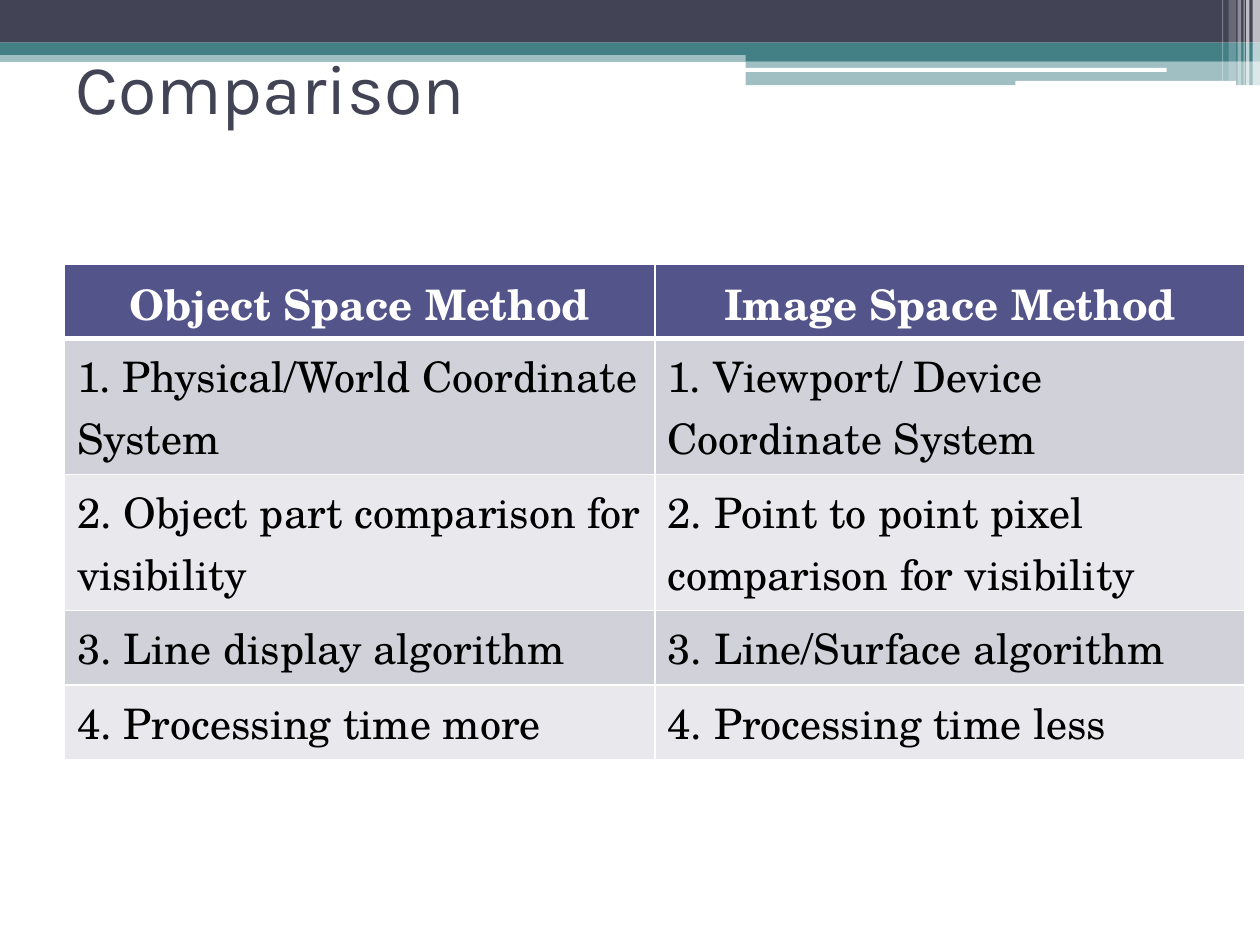
from lxml.etree import SubElement
from pptx import Presentation
from pptx.dml.color import RGBColor
from pptx.enum.shapes import MSO_SHAPE as Preset
from pptx.enum.text import MSO_ANCHOR as Anchor, PP_ALIGN as Align
from pptx.oxml import parse_xml
from pptx.oxml.ns import nsdecls, qn
from pptx.util import Cm, Pt

COLORS = {
    "navy": "424456", "teal": "438086", "white": "FFFFFF", "black": "000000",
    "header": "53548A", "band_dark": "D1D1DA", "band_light": "E9E9ED",
}


def rgb(name):
    return RGBColor.from_string(COLORS[name])


def add_bar(left, top, width, height, color, opacity=100, preset=Preset.RECTANGLE):
    bar = slide.shapes.add_shape(preset, Cm(left), Cm(top), Cm(width), Cm(height))
    bar.shadow.inherit = False
    bar.line.fill.background()
    bar.fill.solid()
    bar.fill.fore_color.rgb = rgb(color)
    if opacity < 100:
        srgb = next(bar.fill._xPr.iter(qn("a:srgbClr")))
        SubElement(srgb, qn("a:alpha")).set("val", str(opacity * 1000))


deck = Presentation()
deck.slide_width, deck.slide_height = Cm(25.4), Cm(19.05)
slide = deck.slides.add_slide(deck.slide_layouts[6])

# Banner across the top
add_bar(0, 1.02, 25.4, 0.23, "teal", 50)
add_bar(0, 0, 25.4, 0.86, "navy")
add_bar(0, 0.86, 25.4, 0.25, "teal")
add_bar(15.03, 0.99, 10.37, 0.24, "teal")
add_bar(15.03, 1.23, 10.37, 0.49, "teal", 50)
add_bar(15.01, 1.37, 8.51, 0.08, "white", preset=Preset.ROUNDED_RECTANGLE)
add_bar(20.47, 1.63, 4.45, 0.1, "white", preset=Preset.ROUNDED_RECTANGLE)

# Thin stripes at the right end: left, width, height, opacity
for left, width, height, opacity in [
    (25.25, 0.15, 1.73, 65), (25.12, 0.07, 1.73, 65), (25.07, 0.02, 1.73, 60),
    (24.95, 0.07, 1.73, 40), (24.77, 0.15, 1.63, 20), (24.64, 0.02, 1.63, 30),
]:
    add_bar(left, 0, width, height, "white", opacity)

# Title
title = slide.shapes.add_textbox(Cm(1.27), Cm(0.76), Cm(22.86), Cm(1.96)).text_frame
title.word_wrap = True
title.vertical_anchor = Anchor.MIDDLE
title.text = "Comparison"
title_font = title.paragraphs[0].font
title_font.name, title_font.size = "Karla", Pt(40)
title_font.color.rgb = rgb("navy")

# Comparison table: row height, object space, image space
methods = [
    (1.5, "Object Space Method", "Image Space Method"),
    (2.74, "1. Physical/World Coordinate System", "1. Viewport/ Device Coordinate System"),
    (2.74, "2. Object part comparison for visibility",
     "2. Point to point pixel comparison for visibility"),
    (1.5, "3. Line display algorithm", "3. Line/Surface algorithm"),
    (1.5, "4. Processing time more", "4. Processing time less"),
]
comparison = slide.shapes.add_table(
    len(methods), 2, Cm(1.3), Cm(5.33), Cm(23.8), Cm(9.98)).table
for column in comparison.columns:
    column.width = Cm(11.9)

for row, (height, *texts) in enumerate(methods):
    comparison.rows[row].height = Cm(height)
    is_header = row == 0
    fill = "header" if is_header else "band_dark" if row % 2 else "band_light"
    for col, text in enumerate(texts):
        cell = comparison.cell(row, col)
        cell.text = text
        cell.fill.solid()
        cell.fill.fore_color.rgb = rgb(fill)
        paragraph = cell.text_frame.paragraphs[0]
        paragraph.alignment = Align.CENTER if is_header else Align.LEFT
        font = paragraph.font
        font.name, font.size, font.bold = "TeX Gyre Schola", Pt(24), is_header
        font.color.rgb = rgb("white" if is_header else "black")

        # White borders, thicker below the header
        borders = {"lnL": 1, "lnR": 1, "lnT": 3 if row == 1 else 1, "lnB": 3 if is_header else 1}
        for index, (side, points) in enumerate(borders.items()):
            cell._tc.get_or_add_tcPr().insert(index, parse_xml(
                f'<a:{side} {nsdecls("a")} w="{Pt(points)}"><a:solidFill>'
                f'<a:srgbClr val="{COLORS["white"]}"/></a:solidFill></a:{side}>'))

deck.save("out.pptx")
